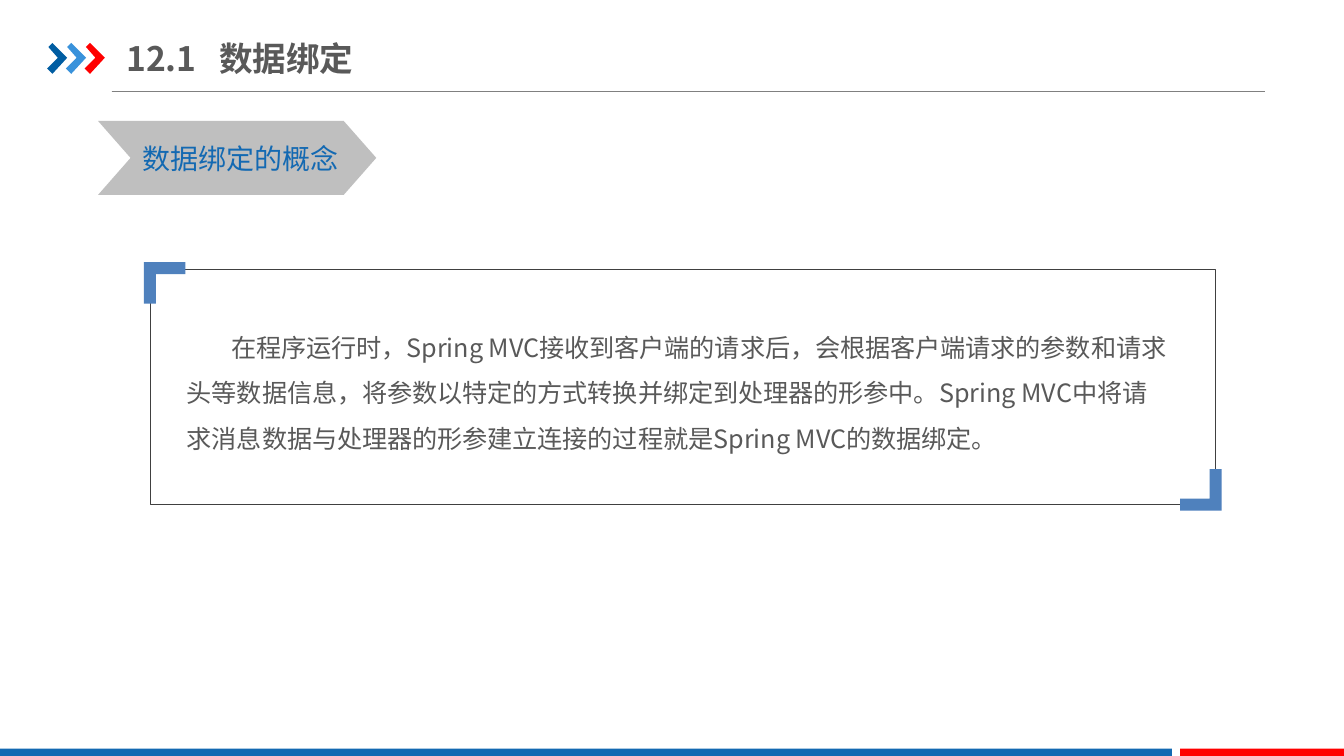
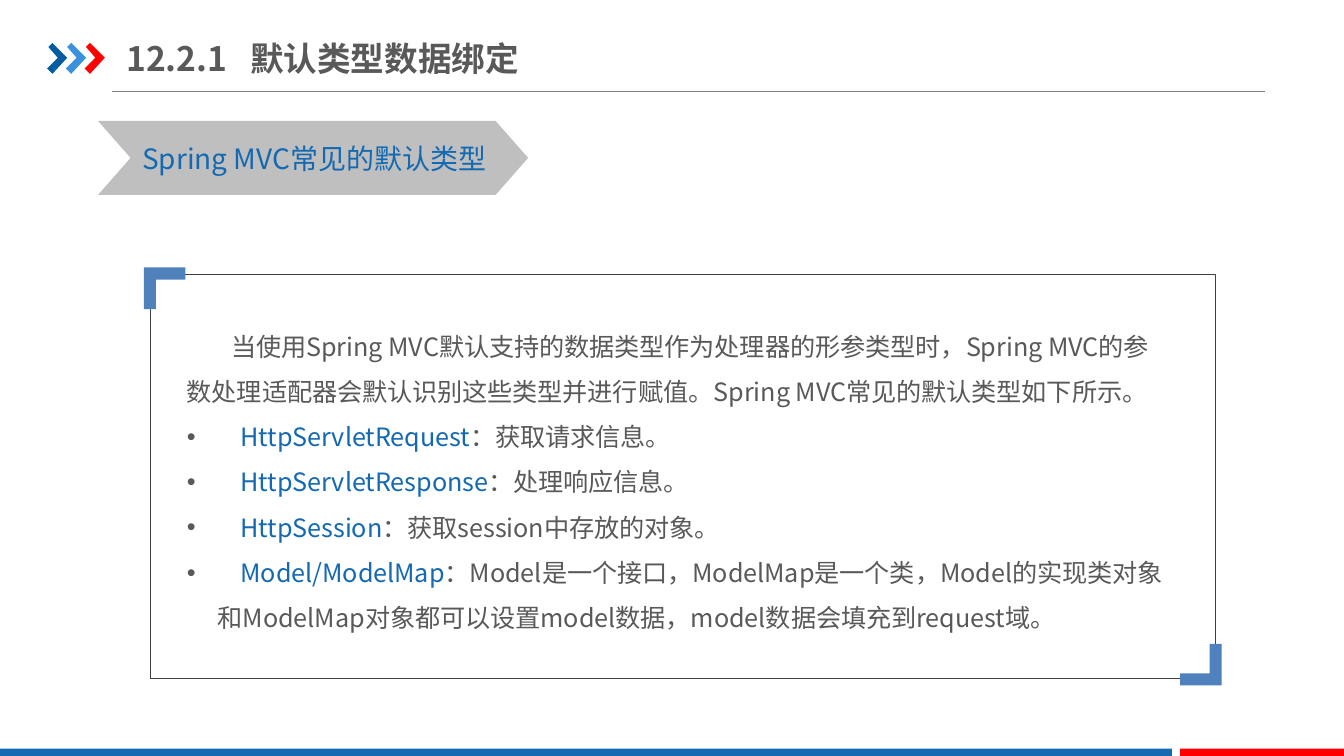
from dataclasses import dataclass

import pptx
import pptx.dml.color
import pptx.enum.shapes
import pptx.enum.text
import pptx.oxml.ns
import pptx.shapes.autoshape
import pptx.slide
import pptx.text.text
import pptx.util
from lxml import etree
from pptx.dml.color import RGBColor
from pptx.util import Inches

SLIDE_WIDTH = Inches(10)
SLIDE_HEIGHT = Inches(10 * 9 / 16)

FONT = "Noto Sans CJK SC"
BLUE = RGBColor(0x13, 0x69, 0xB2)
DARK_BLUE = RGBColor(0x00, 0x5D, 0xA2)
LIGHT_BLUE = RGBColor(0x39, 0x92, 0xDB)
CORNER_BLUE = RGBColor(0x4F, 0x81, 0xBD)
RED = RGBColor(0xFF, 0x00, 0x00)
TEXT_GREY = RGBColor(0x59, 0x59, 0x59)
RULE_GREY = RGBColor(0x80, 0x80, 0x80)
BANNER_GREY = RGBColor(0xBF, 0xBF, 0xBF)
FRAME_GREY = RGBColor(0x40, 0x40, 0x40)

MARK_COLORS = (DARK_BLUE, LIGHT_BLUE, RED)
MARK_OUTLINE = ((0.01, 0.03), (0.04, 0), (0.15, 0.11), (0.04, 0.23), (0, 0.19), (0.08, 0.11))
CORNER_OUTLINE = ((0, 0), (0.31, 0), (0.31, 0.09), (0.09, 0.09), (0.09, 0.31), (0, 0.31))
CORNER_OVERHANG = 0.05
FRAME_LEFT, FRAME_WIDTH = 1.12, 7.92


@dataclass(frozen=True)
class Box:
    left: float
    top: float
    width: float
    height: float

    def lengths(self) -> tuple[pptx.util.Length, ...]:
        return tuple(Inches(value) for value in (self.left, self.top, self.width, self.height))


@dataclass(frozen=True)
class Term:
    name: str
    meaning: str


@dataclass(frozen=True)
class Topic:
    number: str
    title: str
    title_tab: float
    banner: str
    banner_width: float
    frame: Box
    body: Box
    introduction: str
    terms: tuple[Term, ...] = ()


TOPICS = (
    Topic(
        "12.1", "数据绑定", 0.69, "数据绑定的概念", 2.07,
        Box(FRAME_LEFT, 2, FRAME_WIDTH, 1.75),
        Box(1.32, 2.32, 7.45, 1.18),
        "在程序运行时，Spring MVC接收到客户端的请求后，会根据客户端请求的参数和请求头等数据信息，"
        "将参数以特定的方式转换并绑定到处理器的形参中。"
        "Spring MVC中将请求消息数据与处理器的形参建立连接的过程就是Spring MVC的数据绑定。",
    ),
    Topic(
        "12.2.1", "默认类型数据绑定", 0.92, "Spring MVC常见的默认类型", 3.2,
        Box(FRAME_LEFT, 2.04, FRAME_WIDTH, 3.01),
        Box(1.32, 2.31, 7.45, 2.44),
        "当使用Spring MVC默认支持的数据类型作为处理器的形参类型时，"
        "Spring MVC的参数处理适配器会默认识别这些类型并进行赋值。"
        "Spring MVC常见的默认类型如下所示。",
        (
            Term("HttpServletRequest", "：获取请求信息。"),
            Term("HttpServletResponse", "：处理响应信息。"),
            Term("HttpSession", "：获取session中存放的对象。"),
            Term("Model/ModelMap", "：Model是一个接口，ModelMap是一个类，Model的实现类对象和ModelMap对象"
                 "都可以设置model数据，model数据会填充到request域。"),
        ),
    ),
)


def add_element(parent: etree._Element, tag: str, **attributes: str) -> etree._Element:
    return etree.SubElement(parent, pptx.oxml.ns.qn(tag), attributes)


def fill_shape(shape: pptx.shapes.autoshape.Shape, color: RGBColor) -> None:
    shape.shadow.inherit = False
    shape.fill.solid()
    shape.fill.fore_color.rgb = color
    shape.line.fill.background()


def add_filled_shape(
    slide: pptx.slide.Slide, kind: pptx.enum.shapes.MSO_SHAPE, box: Box, color: RGBColor
) -> pptx.shapes.autoshape.Shape:
    shape = slide.shapes.add_shape(kind, *box.lengths())
    fill_shape(shape, color)
    return shape


def add_outline(
    slide: pptx.slide.Slide,
    outline: tuple[tuple[float, float], ...],
    left: float,
    top: float,
    color: RGBColor,
    direction: int = 1,
) -> None:
    """Draw a closed outline from an anchor; direction -1 turns it half round."""
    points = [(Inches(left + direction * x), Inches(top + direction * y)) for x, y in outline]
    builder = slide.shapes.build_freeform(*points[0])
    builder.add_line_segments(points[1:], close=True)
    fill_shape(builder.convert_to_shape(), color)


def add_text_frame(
    slide: pptx.slide.Slide, box: Box, side_inset: float, edge_inset: float
) -> pptx.text.text.TextFrame:
    text_frame = slide.shapes.add_textbox(*box.lengths()).text_frame
    text_frame.word_wrap = True
    text_frame.margin_left = text_frame.margin_right = Inches(side_inset)
    text_frame.margin_top = text_frame.margin_bottom = Inches(edge_inset)
    return text_frame


def format_run(run: pptx.text.text._Run, size: float, color: RGBColor, bold: bool = False) -> None:
    run.font.size = pptx.util.Pt(size)
    run.font.bold = bold
    run.font.color.rgb = color
    run.font.name = FONT
    add_element(run.font._element, "a:ea", typeface=FONT)


def set_indent(paragraph: pptx.text.text._Paragraph, margin: float, first_line: float) -> None:
    properties = paragraph._p.get_or_add_pPr()
    properties.set("marL", str(Inches(margin)))
    properties.set("indent", str(Inches(first_line)))


def add_tab_stop(paragraph: pptx.text.text._Paragraph, position: float) -> None:
    tab_list = add_element(paragraph._p.get_or_add_pPr(), "a:tabLst")
    add_element(tab_list, "a:tab", pos=str(Inches(position)), algn="l")


def add_bullet(paragraph: pptx.text.text._Paragraph) -> None:
    properties = paragraph._p.get_or_add_pPr()
    bullet_color = add_element(properties, "a:buClr")
    add_element(bullet_color, "a:srgbClr", val=str(TEXT_GREY))
    add_element(properties, "a:buFont", typeface="Arial")
    add_element(properties, "a:buChar", char="•")


def add_header_and_footer(slide: pptx.slide.Slide, topic: Topic) -> None:
    for rule_end in (9.12, 9.41):
        rule = slide.shapes.add_connector(
            pptx.enum.shapes.MSO_CONNECTOR.STRAIGHT,
            Inches(0.83), Inches(0.68), Inches(rule_end), Inches(0.68),
        )
        rule.line.color.rgb = RULE_GREY
        rule.line.width = pptx.util.Pt(0.75)
        add_element(rule._element.spPr, "a:effectLst")

    for index, color in enumerate(MARK_COLORS):
        add_outline(slide, MARK_OUTLINE, 0.35 + 0.14 * index, 0.32, color)
    for left, width, color in ((0, 8.72, BLUE), (8.78, 1.22, RED)):
        add_filled_shape(
            slide, pptx.enum.shapes.MSO_SHAPE.RECTANGLE, Box(left, 5.57, width, 0.07), color
        )


def add_title(slide: pptx.slide.Slide, topic: Topic) -> None:
    text_frame = add_text_frame(slide, Box(0.94, 0.22, 3.31, 0.42), 0, 0.05)
    text_frame.vertical_anchor = pptx.enum.text.MSO_ANCHOR.MIDDLE
    paragraph = text_frame.paragraphs[0]
    add_tab_stop(paragraph, topic.title_tab)
    paragraph.text = f"{topic.number}\t{topic.title}"
    format_run(paragraph.runs[0], 18, TEXT_GREY, bold=True)


def add_banner(slide: pptx.slide.Slide, topic: Topic) -> None:
    chevron = add_filled_shape(
        slide, pptx.enum.shapes.MSO_SHAPE.CHEVRON,
        Box(0.73, 0.9, topic.banner_width, 0.55), BANNER_GREY,
    )
    chevron.adjustments[0] = 0.44
    text_frame = add_text_frame(slide, Box(0.96, 1, topic.banner_width - 0.33, 0.35), 0.1, 0.05)
    text_frame.text = topic.banner
    format_run(text_frame.paragraphs[0].runs[0], 15, BLUE)


def add_body(slide: pptx.slide.Slide, topic: Topic) -> None:
    text_frame = add_text_frame(slide, topic.body, 0.07, 0.04)
    text_frame.text = topic.introduction
    introduction = text_frame.paragraphs[0]
    introduction.line_spacing = 1.5
    set_indent(introduction, 0, 0.33)
    format_run(introduction.runs[0], 13.5, TEXT_GREY)

    for term in topic.terms:
        paragraph = text_frame.add_paragraph()
        paragraph.line_spacing = 1.5
        set_indent(paragraph, 0.23, -0.23)
        add_bullet(paragraph)
        add_tab_stop(paragraph, 0.4)
        for text, color in ((f"\t{term.name}", BLUE), (term.meaning, TEXT_GREY)):
            run = paragraph.add_run()
            run.text = text
            format_run(run, 13.5, color)


def add_frame(slide: pptx.slide.Slide, box: Box) -> None:
    frame = slide.shapes.add_shape(pptx.enum.shapes.MSO_SHAPE.ROUNDED_RECTANGLE, *box.lengths())
    frame.adjustments[0] = 0
    frame.shadow.inherit = False
    frame.fill.background()
    frame.line.color.rgb = FRAME_GREY
    frame.line.width = pptx.util.Pt(0.25)
    for left, top, direction in (
        (box.left, box.top, 1),
        (box.left + box.width, box.top + box.height, -1),
    ):
        overhang = direction * CORNER_OVERHANG
        add_outline(
            slide, CORNER_OUTLINE, left - overhang, top - overhang, CORNER_BLUE, direction
        )


def main() -> None:
    presentation = pptx.Presentation()
    presentation.slide_width = SLIDE_WIDTH
    presentation.slide_height = SLIDE_HEIGHT
    blank_layout = presentation.slide_layouts[6]
    for topic in TOPICS:
        slide = presentation.slides.add_slide(blank_layout)
        add_header_and_footer(slide, topic)
        add_banner(slide, topic)
        add_title(slide, topic)
        add_body(slide, topic)
        add_frame(slide, topic.frame)
    presentation.save("out.pptx")


if __name__ == "__main__":
    main()
